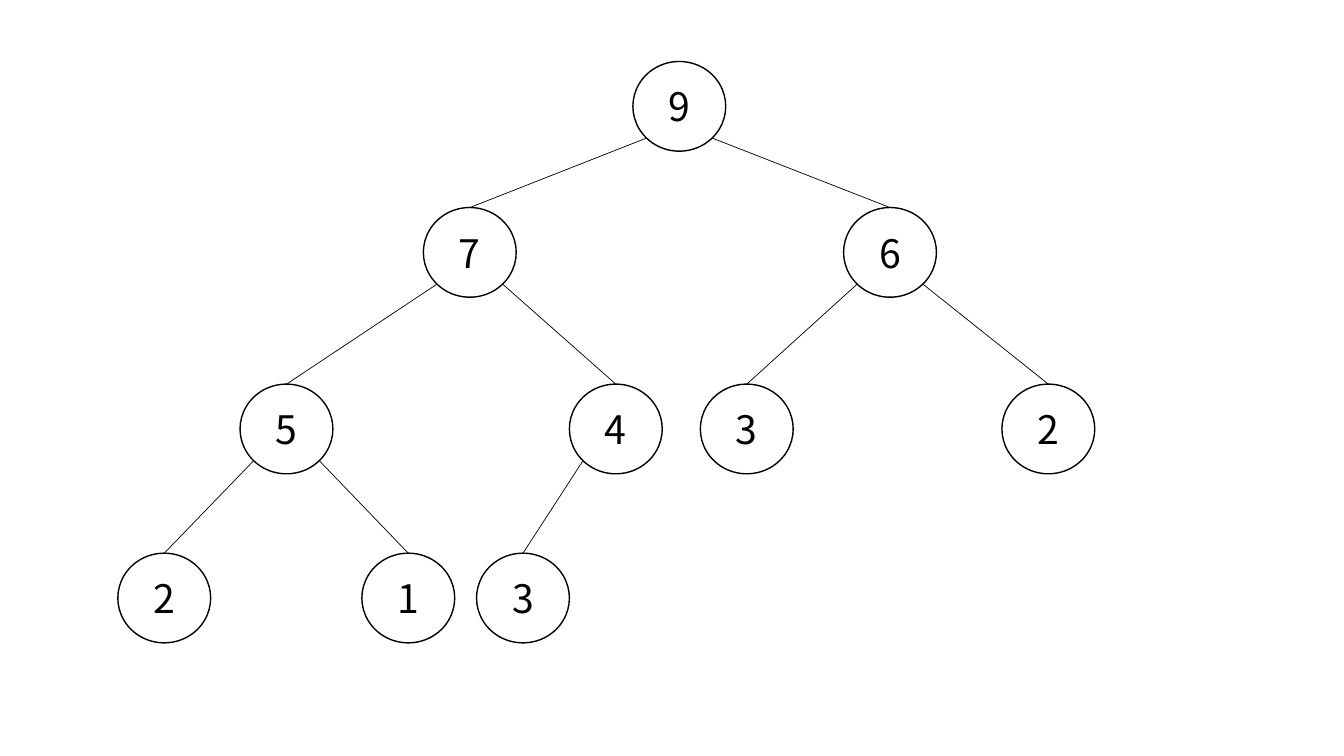
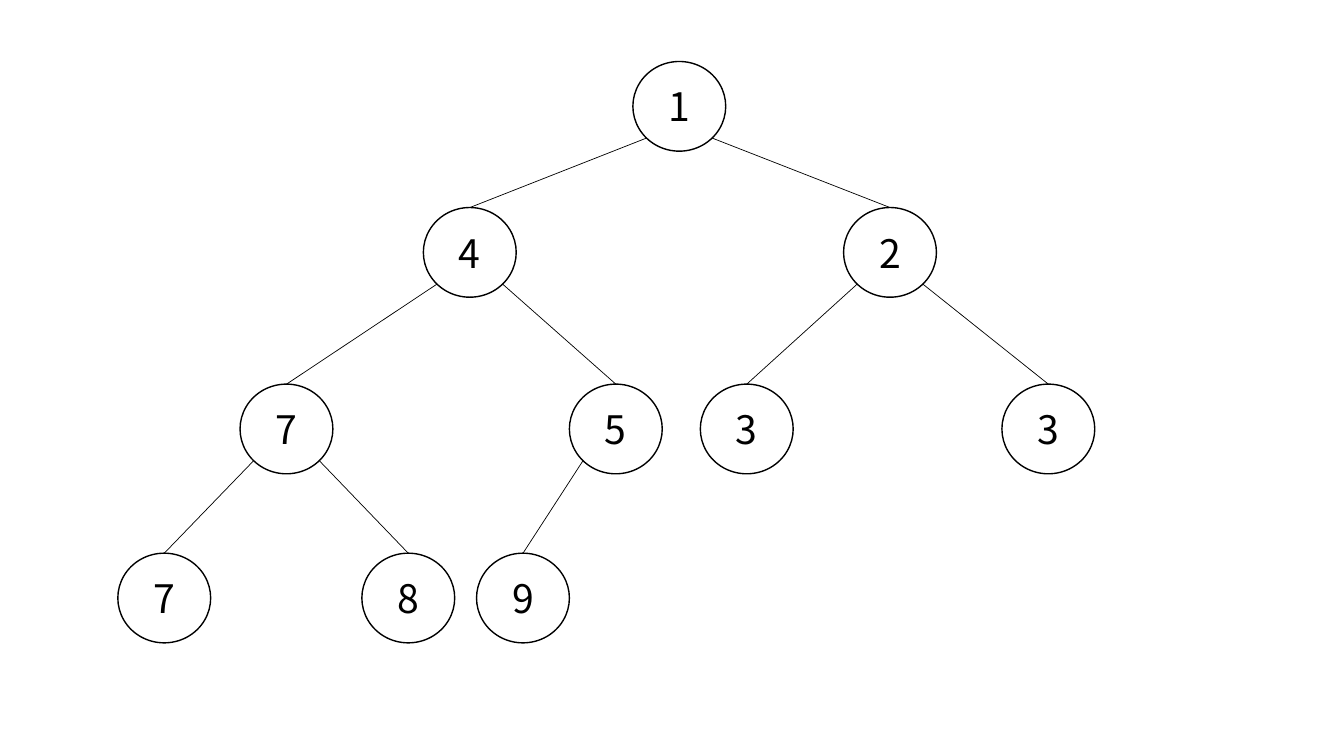
import math

import pptx
import pptx.dml.color
import pptx.enum.shapes
import pptx.enum.text
import pptx.oxml
import pptx.util
from pptx.util import Cm

HEAPS = [
    [9, 7, 6, 5, 4, 3, 2, 2, 1, 3],
    [1, 4, 2, 7, 5, 3, 3, 7, 8, 9],
]
LEVELS = [
    (1.55, [15.95]),
    (5.23, [10.67, 21.26]),
    (9.68, [6.05, 14.35, 17.65, 25.25]),
    (13.94, [2.97, 9.12, 12.01]),
]
PLACES = [(left, top) for top, lefts in LEVELS for left in lefts]
NODE_WIDTH, NODE_HEIGHT = Cm(2.34), Cm(2.26)
INK = pptx.dml.color.RGBColor(0, 0, 0)
FONT = "Noto Sans CJK KR"
TOP_SITE = 0


def add_node(page, value, left, top):
    node = page.shapes.add_shape(
        pptx.enum.shapes.MSO_SHAPE.OVAL, Cm(left), Cm(top), NODE_WIDTH, NODE_HEIGHT)
    node.shadow.inherit = False
    node.fill.background()
    node.line.color.rgb = INK
    node.line.width = pptx.util.Pt(1)
    frame = node.text_frame
    frame.vertical_anchor = pptx.enum.text.MSO_ANCHOR.MIDDLE
    para = frame.paragraphs[0]
    para.text = str(value)
    para.alignment = pptx.enum.text.PP_ALIGN.CENTER
    para.font.name = FONT
    para.font.size = pptx.util.Pt(28)
    para.font.color.rgb = INK
    return node


def add_edge(page, parent, child, side):
    reach = math.sqrt(0.5) / 2
    start_x = parent.left + round(parent.width * (0.5 + side * reach))
    start_y = parent.top + round(parent.height * (0.5 + reach))
    edge = page.shapes.add_connector(
        pptx.enum.shapes.MSO_CONNECTOR.STRAIGHT,
        start_x, start_y, child.left + child.width // 2, child.top)
    edge.end_connect(child, TOP_SITE)
    edge.line.color.rgb = INK
    edge.line.width = pptx.util.Pt(0.5)
    properties = edge._element.spPr
    properties.append(pptx.oxml.parse_xml(
        '<a:effectLst xmlns:a="http://schemas.openxmlformats.org/drawingml/2006/main"/>'))


def add_heap(page, values):
    nodes = [add_node(page, value, *place) for value, place in zip(values, PLACES)]
    for index, child in enumerate(nodes[1:], start=1):
        side = -1 if index % 2 else 1
        add_edge(page, nodes[(index - 1) // 2], child, side)


deck = pptx.Presentation()
deck.slide_width, deck.slide_height = Cm(33.87), Cm(19.05)
blank_layout = deck.slide_layouts[6]
for heap in HEAPS:
    add_heap(deck.slides.add_slide(blank_layout), heap)
deck.save("out.pptx")
